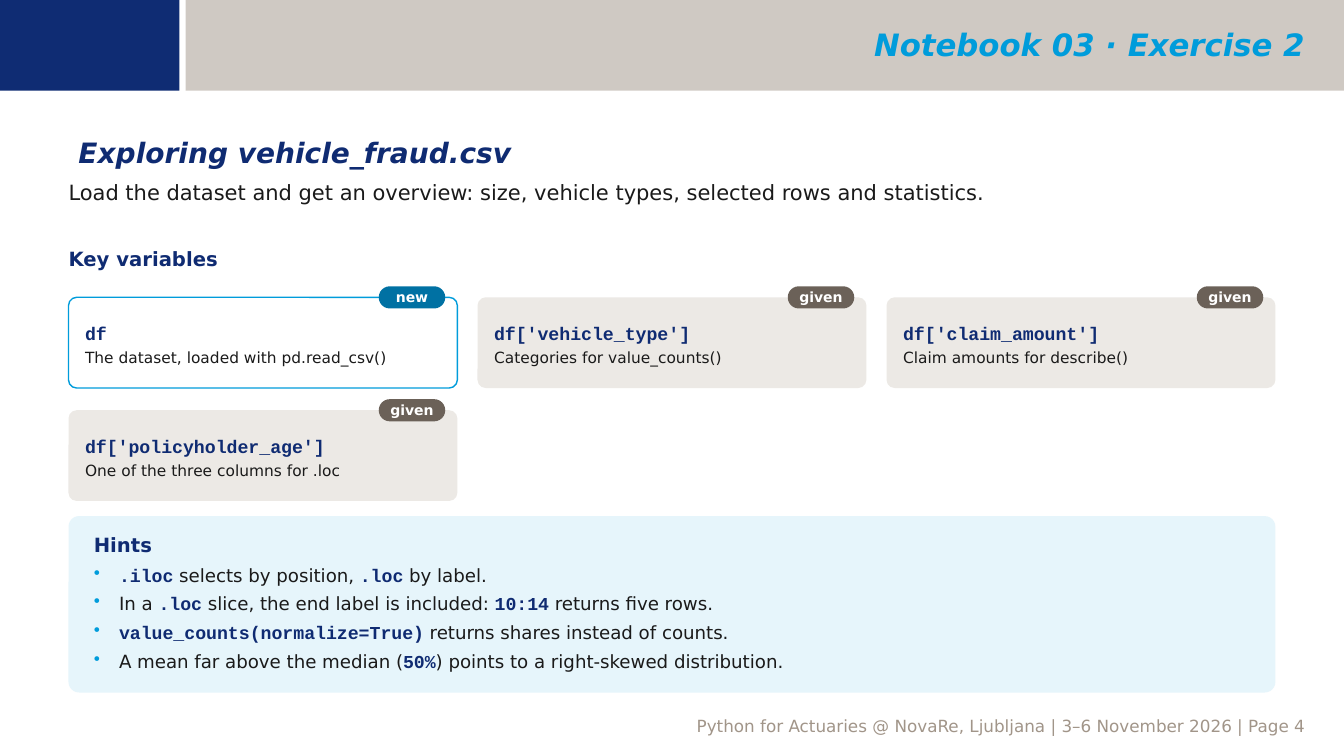
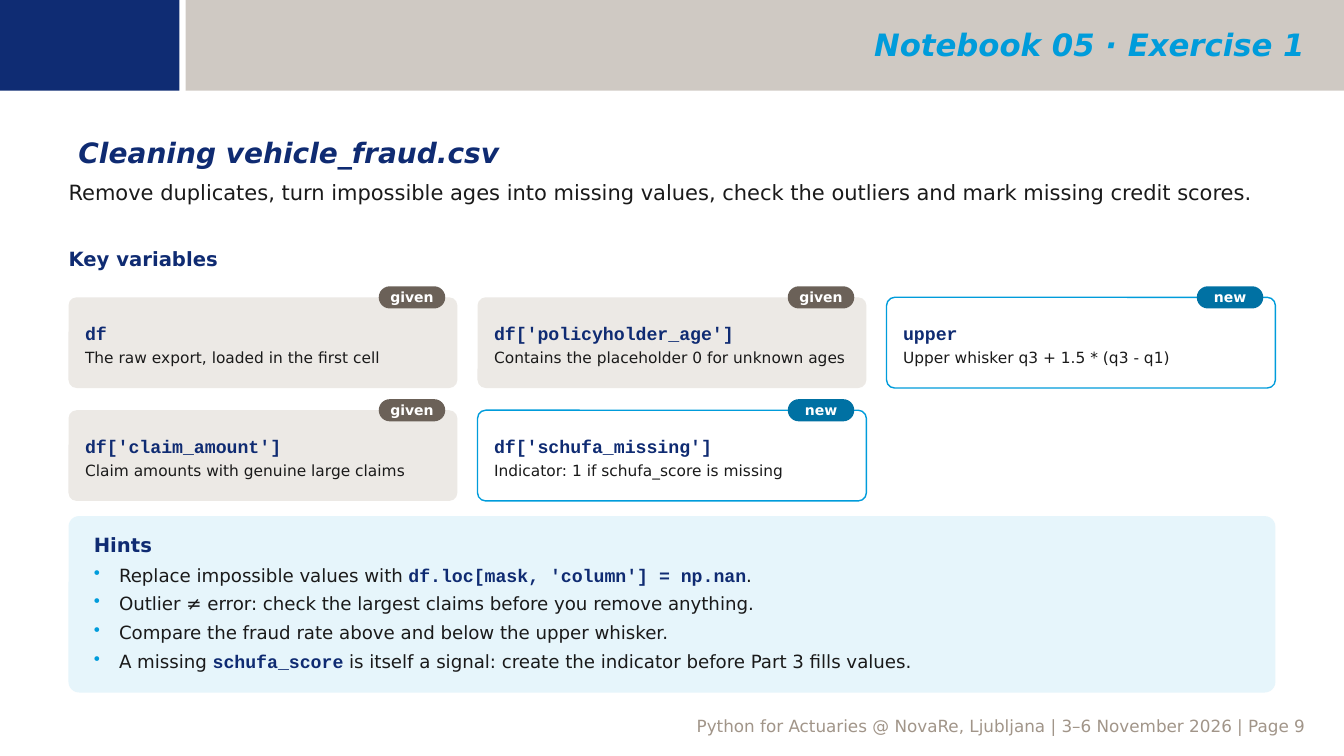
from lxml import etree
from pptx import Presentation
from pptx.dml.color import RGBColor
from pptx.enum import shapes, text
from pptx.oxml import ns
from pptx.util import Inches, Pt

NAVY = RGBColor(0x0F, 0x2B, 0x72)
CORNER_NAVY = RGBColor(0x0F, 0x2C, 0x73)
CYAN = RGBColor(0x00, 0x9C, 0xDB)
TEAL = RGBColor(0x00, 0x71, 0xA3)
TAUPE = RGBColor(0xA1, 0x95, 0x89)
BROWN = RGBColor(0x6B, 0x61, 0x58)
SAND = RGBColor(0xEC, 0xE9, 0xE5)
ICE = RGBColor(0xE6, 0xF5, 0xFB)
INK = RGBColor(0x1A, 0x1A, 0x1A)
WHITE = RGBColor(0xFF, 0xFF, 0xFF)

SANS, MONO = "DejaVu Sans", "Courier New"
LEFT, RIGHT, CENTER = text.PP_ALIGN.LEFT, text.PP_ALIGN.RIGHT, text.PP_ALIGN.CENTER
TOP, MIDDLE = text.MSO_ANCHOR.TOP, text.MSO_ANCHOR.MIDDLE
RECTANGLE = shapes.MSO_SHAPE.RECTANGLE
ROUNDED = shapes.MSO_SHAPE.ROUNDED_RECTANGLE
DEFAULT_INSETS = (0.1, 0.05, 0.1, 0.05)

TITLE = dict(size=22, color=CYAN, bold=True, italic=True)
HEADING = dict(size=20, color=NAVY, bold=True, italic=True)
INTRO = dict(size=15, color=INK)
LABEL = dict(size=14, color=NAVY, bold=True)
VARIABLE = dict(size=13, color=NAVY, bold=True, name=MONO)
MEANING = dict(size=11, color=INK)
BADGE = dict(size=10, color=WHITE, bold=True)
HINT = dict(size=13, color=INK)
FOOTER = dict(size=12, color=TAUPE)

MARGIN, CONTENT_WIDTH = 0.68, 11.97
COLUMNS, COLUMN_GAP, ROW_GAP = 3, 0.2, 0.22
CARD_TOP, CARD_HEIGHT = 2.95, 0.9
CARD_WIDTH = (CONTENT_WIDTH - (COLUMNS - 1) * COLUMN_GAP) / COLUMNS
BADGE_WIDTH, BADGE_HEIGHT, BADGE_INSET = 0.66, 0.22, 0.12

# card fill, card line, badge fill
CARD_STYLES = {"new": (WHITE, CYAN, TEAL), "given": (SAND, None, BROWN)}

EXERCISES = [
    dict(
        title="Notebook 03 · Exercise 2",
        heading="Exploring vehicle_fraud.csv",
        intro="Load the dataset and get an overview: size, vehicle types, selected rows and statistics.",
        variables=[
            ("df", "The dataset, loaded with pd.read_csv()", "new"),
            ("df['vehicle_type']", "Categories for value_counts()", "given"),
            ("df['claim_amount']", "Claim amounts for describe()", "given"),
            ("df['policyholder_age']", "One of the three columns for .loc", "given"),
        ],
        hints=[
            "`.iloc` selects by position, `.loc` by label.",
            "In a `.loc` slice, the end label is included: `10:14` returns five rows.",
            "`value_counts(normalize=True)` returns shares instead of counts.",
            "A mean far above the median (`50%`) points to a right-skewed distribution.",
        ],
        page=4,
    ),
    dict(
        title="Notebook 05 · Exercise 1",
        heading="Cleaning vehicle_fraud.csv",
        intro="Remove duplicates, turn impossible ages into missing values, "
              "check the outliers and mark missing credit scores.",
        variables=[
            ("df", "The raw export, loaded in the first cell", "given"),
            ("df['policyholder_age']", "Contains the placeholder 0 for unknown ages", "given"),
            ("upper", "Upper whisker q3 + 1.5 * (q3 - q1)", "new"),
            ("df['claim_amount']", "Claim amounts with genuine large claims", "given"),
            ("df['schufa_missing']", "Indicator: 1 if schufa_score is missing", "new"),
        ],
        hints=[
            "Replace impossible values with `df.loc[mask, 'column'] = np.nan`.",
            "Outlier ≠ error: check the largest claims before you remove anything.",
            "Compare the fraud rate above and below the upper whisker.",
            "A missing `schufa_score` is itself a signal: create the indicator before Part 3 fills values.",
        ],
        page=9,
    ),
]


def write(frame, lines, align=LEFT, anchor=TOP, insets=DEFAULT_INSETS, gap=0, bulleted=False):
    """Fill a text frame with (text, format) lines; `backticks` mark code,
    and bulleted puts a bullet on every line after the first."""
    frame.word_wrap = True
    frame.auto_size = text.MSO_AUTO_SIZE.NONE
    frame.vertical_anchor = anchor
    for side, inset in zip(("left", "top", "right", "bottom"), insets):
        setattr(frame, f"margin_{side}", Inches(inset))
    for index, (line, style) in enumerate(lines):
        paragraph = frame.add_paragraph() if index else frame.paragraphs[0]
        paragraph.alignment = align
        paragraph.space_before = Pt(gap if index else 0)
        if bulleted and index:
            properties = paragraph._p.get_or_add_pPr()
            properties.set("marL", str(Inches(0.25)))
            properties.set("indent", str(Inches(-0.25)))
            bullet_color = etree.SubElement(properties, ns.qn("a:buClr"))
            etree.SubElement(bullet_color, ns.qn("a:srgbClr"), val=str(CYAN))
            etree.SubElement(properties, ns.qn("a:buChar"), char="•")
        for part, piece in enumerate(line.split("`")):
            if not piece:
                continue
            run = paragraph.add_run()
            run.text = piece
            code = dict(name=MONO, color=NAVY, bold=True) if part % 2 else {}
            values = dict(name=SANS, bold=False, italic=False) | style | code
            run.font.color.rgb = values.pop("color")
            run.font.size = Pt(values.pop("size"))
            for attribute, value in values.items():
                setattr(run.font, attribute, value)


def add_box(slide, bounds, fill=None, line=None, kind=RECTANGLE, radius=None):
    """Add a filled shape, or a text box when there is no fill."""
    bounds = [Inches(length) for length in bounds]
    if fill is None:
        return slide.shapes.add_textbox(*bounds)
    shape = slide.shapes.add_shape(kind, *bounds)
    shape.shadow.inherit = False
    shape.fill.solid()
    shape.fill.fore_color.rgb = fill
    if line is None:
        shape.line.fill.background()
    else:
        shape.line.color.rgb = line
        shape.line.width = Pt(1)
    if radius is not None:
        shape.adjustments[0] = radius
    return shape


presentation = Presentation()
presentation.slide_width = Inches(13.33)
presentation.slide_height = Inches(7.5)
layout = presentation.slide_layouts[5]
slides = [presentation.slides.add_slide(layout) for exercise in EXERCISES]

# The bands are drawn once and moved to the shared layout.
band = add_box(slides[0], (1.84, 0, 11.49, 0.9), TAUPE)
band_color = band.element.spPr.find(ns.qn("a:solidFill"))[0]
etree.SubElement(band_color, ns.qn("a:alpha"), val="50000")
corner = add_box(slides[0], (0, 0, 1.78, 0.9), CORNER_NAVY)
for shape in (band, corner):
    layout.shapes.element.append(shape.element)

for slide, exercise in zip(slides, EXERCISES):
    title = slide.shapes.title
    title.left, title.top = Inches(2.02), Inches(0.02)
    title.width, title.height = Inches(11.02), Inches(0.84)
    write(title.text_frame, [(exercise["title"], TITLE)], RIGHT, MIDDLE)

    heading = add_box(slide, (MARGIN, 1.3, CONTENT_WIDTH, 0.4))
    write(heading.text_frame, [(exercise["heading"], HEADING)])
    intro = add_box(slide, (MARGIN, 1.78, CONTENT_WIDTH, 0.62))
    write(intro.text_frame, [(exercise["intro"], INTRO)], insets=(0, 0, 0, 0))
    label = add_box(slide, (MARGIN, 2.45, 6, 0.32))
    write(label.text_frame, [("Key variables", LABEL)], insets=(0, 0, 0, 0))

    for index, (variable, meaning, status) in enumerate(exercise["variables"]):
        row, column = divmod(index, COLUMNS)
        left = MARGIN + column * (CARD_WIDTH + COLUMN_GAP)
        top = CARD_TOP + row * (CARD_HEIGHT + ROW_GAP)
        fill, line, badge_fill = CARD_STYLES[status]
        card = add_box(slide, (left, top, CARD_WIDTH, CARD_HEIGHT), fill, line, ROUNDED, 0.09)
        write(card.text_frame, [(variable, VARIABLE), (meaning, MEANING)],
              anchor=MIDDLE, insets=(0.14, 0.1, 0.14, 0.06), gap=3)
        badge_left = left + CARD_WIDTH - BADGE_INSET - BADGE_WIDTH
        badge = add_box(slide, (badge_left, top - BADGE_HEIGHT / 2, BADGE_WIDTH, BADGE_HEIGHT),
                        badge_fill, kind=ROUNDED, radius=0.5)
        write(badge.text_frame, [(status, BADGE)], CENTER, MIDDLE, (0, 0, 0, 0))

    hints = add_box(slide, (MARGIN, 5.12, CONTENT_WIDTH, 1.75), ICE, kind=ROUNDED, radius=0.06)
    write(hints.text_frame, [("Hints", LABEL)] + [(hint, HINT) for hint in exercise["hints"]],
          insets=(0.22, 0.14, 0.22, 0.1), gap=5, bulleted=True)

    footer = add_box(slide, (0.76, 7.05, 12.29, 0.3))
    footer_text = f"Python for Actuaries @ NovaRe, Ljubljana | 3–6 November 2026 | Page {exercise['page']}"
    write(footer.text_frame, [(footer_text, FOOTER)], RIGHT)

presentation.save("out.pptx")
